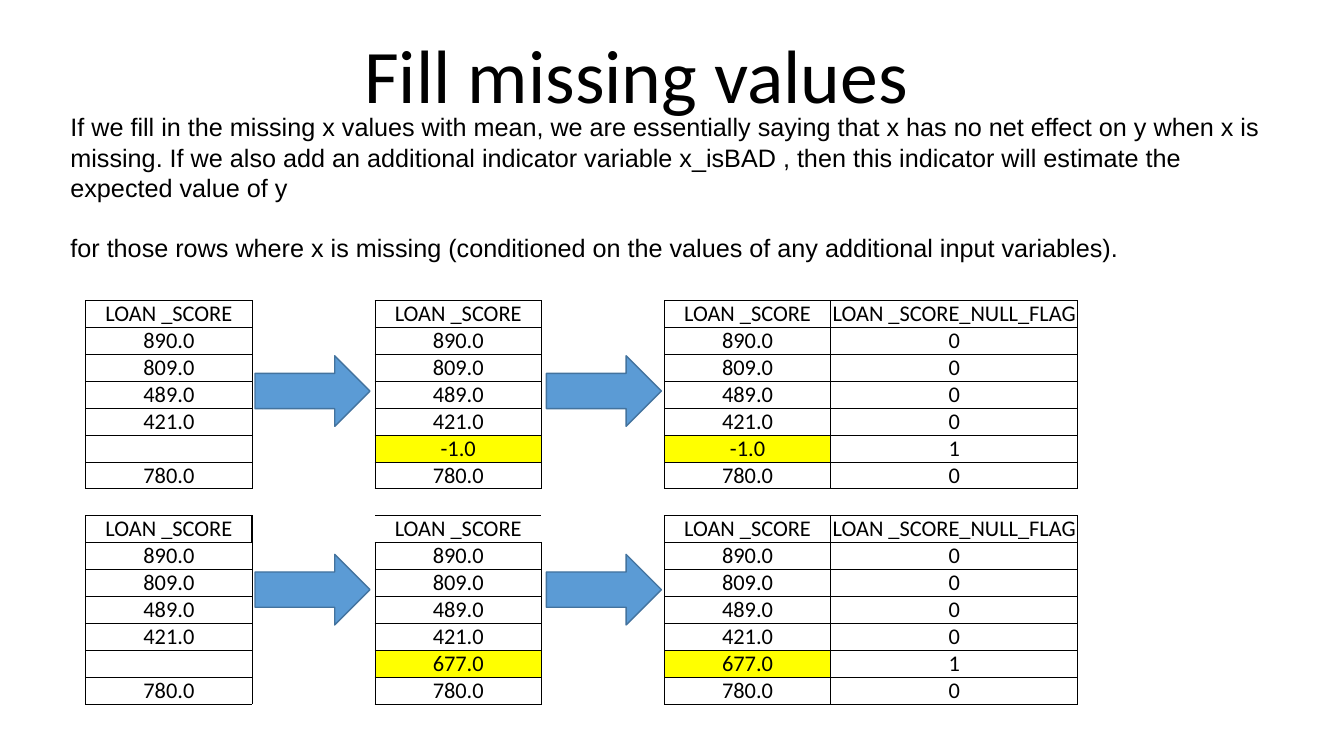
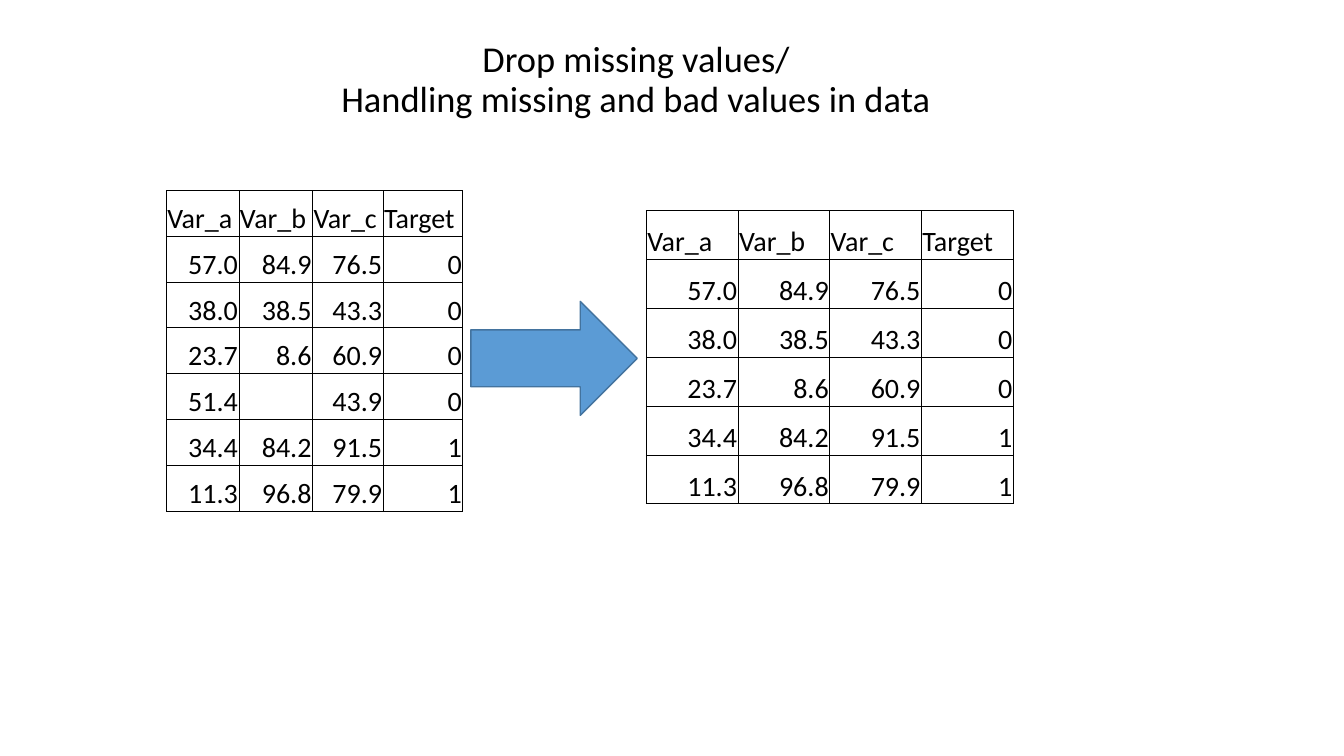
"""Build two slides on filling and dropping missing values."""
import pptx
import pptx.util
import pptx.dml.color
import pptx.enum.shapes
import pptx.enum.text
import pptx.oxml.ns
import lxml.etree

Inches, Pt = pptx.util.Inches, pptx.util.Pt
ALIGN, ANCHOR = pptx.enum.text.PP_ALIGN, pptx.enum.text.MSO_ANCHOR
COLOURS = {"ink": "000000", "arrow": "5B9BD5", "arrow_edge": "43739E", "filled": "FFFF00"}

FILL_TITLE = ("Fill missing values", 54)
EXPLANATION = [
    "If we fill in the missing x values with mean, we are essentially saying that x has no net "
    "effect on y when x is missing. If we also add an additional indicator variable x_isBAD , "
    "then this indicator will estimate the expected value of y",
    "for those rows where x is missing (conditioned on the values of any additional input variables).",
]
SCORE, FLAG = "LOAN _SCORE", "LOAN _SCORE_NULL_FLAG"
SCORES = ["890.0", "809.0", "489.0", "421.0", "", "780.0"]
SUBSTITUTES = ["-1.0", "677.0"]
SCORE_WIDTHS = [1.65, 1.22, 1.65, 1.22, 1.65, 2.45]
GAP_COLUMNS = (1, 3)
SCORE_ARROWS = [(left, top) for left in (2.53, 5.42) for top in (3.53, 5.5)]

DROP_TITLE = ("Drop missing values/\vHandling missing and bad values in data", 26)
HEADINGS = ["Var_a", "Var_b", "Var_c", "Target"]
RECORDS = [
    ["57.0", "84.9", "76.5", "0"],
    ["38.0", "38.5", "43.3", "0"],
    ["23.7", "8.6", "60.9", "0"],
    ["51.4", "", "43.9", "0"],
    ["34.4", "84.2", "91.5", "1"],
    ["11.3", "96.8", "79.9", "1"],
]
COMPLETE = [record for record in RECORDS if all(record)]


def colour(key):
    return pptx.dml.color.RGBColor.from_string(COLOURS[key])


def style(paragraph, size, face="Calibri", align=ALIGN.LEFT):
    paragraph.alignment = align
    paragraph.font.size = Pt(size)
    paragraph.font.name = face
    paragraph.font.color.rgb = colour("ink")


def add_text(slide, box, paragraphs, anchor=ANCHOR.TOP):
    frame = slide.shapes.add_textbox(*map(Inches, box)).text_frame
    frame.word_wrap = True
    frame.vertical_anchor = anchor
    frame.text = "\n".join(paragraphs)
    return frame.paragraphs


def add_titled_slide(title, size):
    slide = deck.slides.add_slide(deck.slide_layouts[6])
    heading = add_text(slide, (1.31, 0.69, 10, 0.55), [title], ANCHOR.BOTTOM)[0]
    style(heading, size, align=ALIGN.CENTER)
    heading.line_spacing = 0.9
    return slide


def add_arrow(slide, *box):
    arrow = slide.shapes.add_shape(pptx.enum.shapes.MSO_SHAPE.RIGHT_ARROW, *map(Inches, box))
    arrow.shadow.inherit = False
    arrow.fill.solid()
    arrow.fill.fore_color.rgb = colour("arrow")
    arrow.line.color.rgb = colour("arrow_edge")
    arrow.line.width = Pt(1)


def set_borders(cell, widths):
    qn = pptx.oxml.ns.qn
    properties = cell._tc.get_or_add_tcPr()
    for side in "LRTB":
        width = widths.get(side, 0)
        line = lxml.etree.SubElement(properties, qn("a:ln" + side), w=str(Pt(width)))
        paint = lxml.etree.SubElement(line, qn("a:solidFill" if width else "a:noFill"))
        if width:
            lxml.etree.SubElement(paint, qn("a:srgbClr"), val=COLOURS["ink"])


def full_grid(row, column):
    return dict.fromkeys("LRTB", 0.5)


def score_grid(row, column):
    spacer, second_heading = len(SCORES) + 1, len(SCORES) + 2
    if column in GAP_COLUMNS:
        return {} if row in (spacer, second_heading) else {"L": 0.5, "R": 0.5}
    if row == spacer:
        return {"T": 0.5, "B": 1}
    if row == second_heading:
        return dict.fromkeys("TB" if column == 2 else "LRTB", 1)
    return {**full_grid(row, column), "T": 1 if row == second_heading + 1 else 0.5}


def add_grid(slide, left, top, height, widths, rows, size, margin, align, borders=full_grid):
    table = slide.shapes.add_table(len(rows), len(widths), Inches(left), Inches(top),
                                   Inches(sum(widths)), Inches(height)).table
    table.first_row = table.horz_banding = False
    for column, width in zip(table.columns, widths):
        column.width = Inches(width)
    for r, values in enumerate(rows):
        table.rows[r].height = Inches(height / len(rows))
        for c, value in enumerate(values):
            cell = table.cell(r, c)
            cell.margin_left = cell.margin_right = cell.margin_top = Inches(margin)
            cell.margin_bottom = 0
            cell.vertical_anchor = ANCHOR.BOTTOM
            cell.text = value
            paragraph = cell.text_frame.paragraphs[0]
            style(paragraph, size, align=align(r))
            if not value:
                lxml.etree.SubElement(paragraph._p, pptx.oxml.ns.qn("a:endParaRPr"), sz=str(size * 100))
            set_borders(cell, borders(r, c))
            if value in SUBSTITUTES:
                cell.fill.solid()
                cell.fill.fore_color.rgb = colour("filled")
            else:
                cell.fill.background()
    return table


def score_block(substitute):
    rows = [[SCORE, "", SCORE, "", SCORE, FLAG]]
    for score in SCORES:
        filled = score or substitute
        rows.append([score, "", filled, "", filled, "0" if score else "1"])
    return rows


def record_align(row):
    return ALIGN.RIGHT if row else ALIGN.LEFT


deck = pptx.Presentation()
deck.slide_width, deck.slide_height = Inches(13.33), Inches(7.5)

fill_slide = add_titled_slide(*FILL_TITLE)
explanation = add_text(fill_slide, (0.6, 1.06, 12.27, 1.62), EXPLANATION)
for paragraph in explanation:
    style(paragraph, 18, "Arial")
explanation[1].space_before = Pt(21.6)

first_block, second_block = map(score_block, SUBSTITUTES)
score_rows = first_block + [[""] * len(SCORE_WIDTHS)] + second_block
scores = add_grid(fill_slide, 0.85, 2.98, 4, SCORE_WIDTHS, score_rows, 16, 0,
                  lambda row: ALIGN.CENTER, score_grid)
for block_top in (0, len(first_block) + 1):
    for gap in GAP_COLUMNS:
        scores.cell(block_top + 1, gap).merge(scores.cell(block_top + 4, gap))
for left, top in SCORE_ARROWS:
    add_arrow(fill_slide, left, top, 1.14, 0.7)

drop_slide = add_titled_slide(*DROP_TITLE)
add_grid(drop_slide, 1.65, 1.89, 3.18, [0.72, 0.73, 0.7, 0.79], [HEADINGS] + RECORDS,
         20, 0.01, record_align)
add_arrow(drop_slide, 4.67, 2.99, 1.65, 1.13)
add_grid(drop_slide, 6.41, 2.09, 2.91, [0.91] * 4, [HEADINGS] + COMPLETE, 20, 0.01, record_align)

deck.save("out.pptx")
